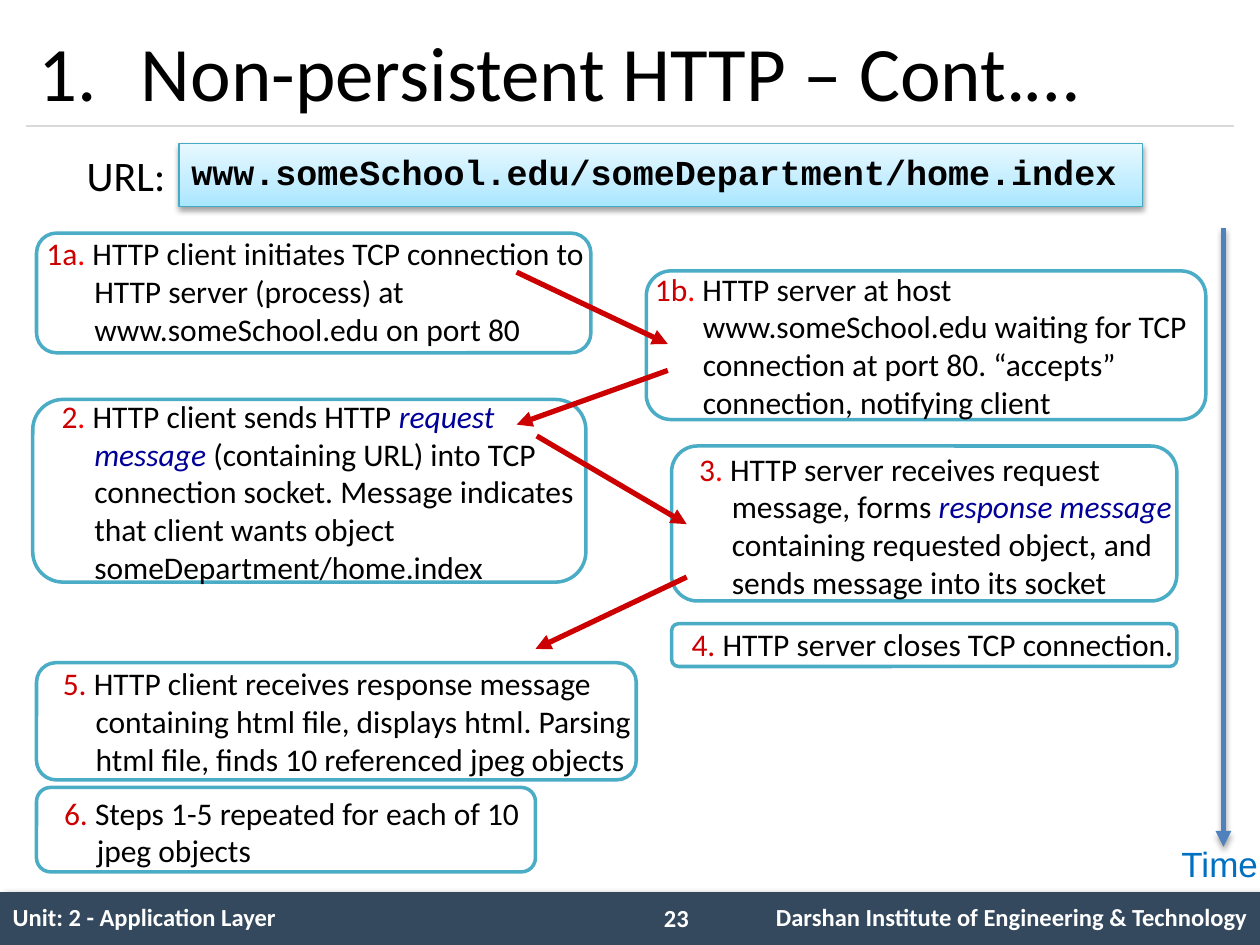
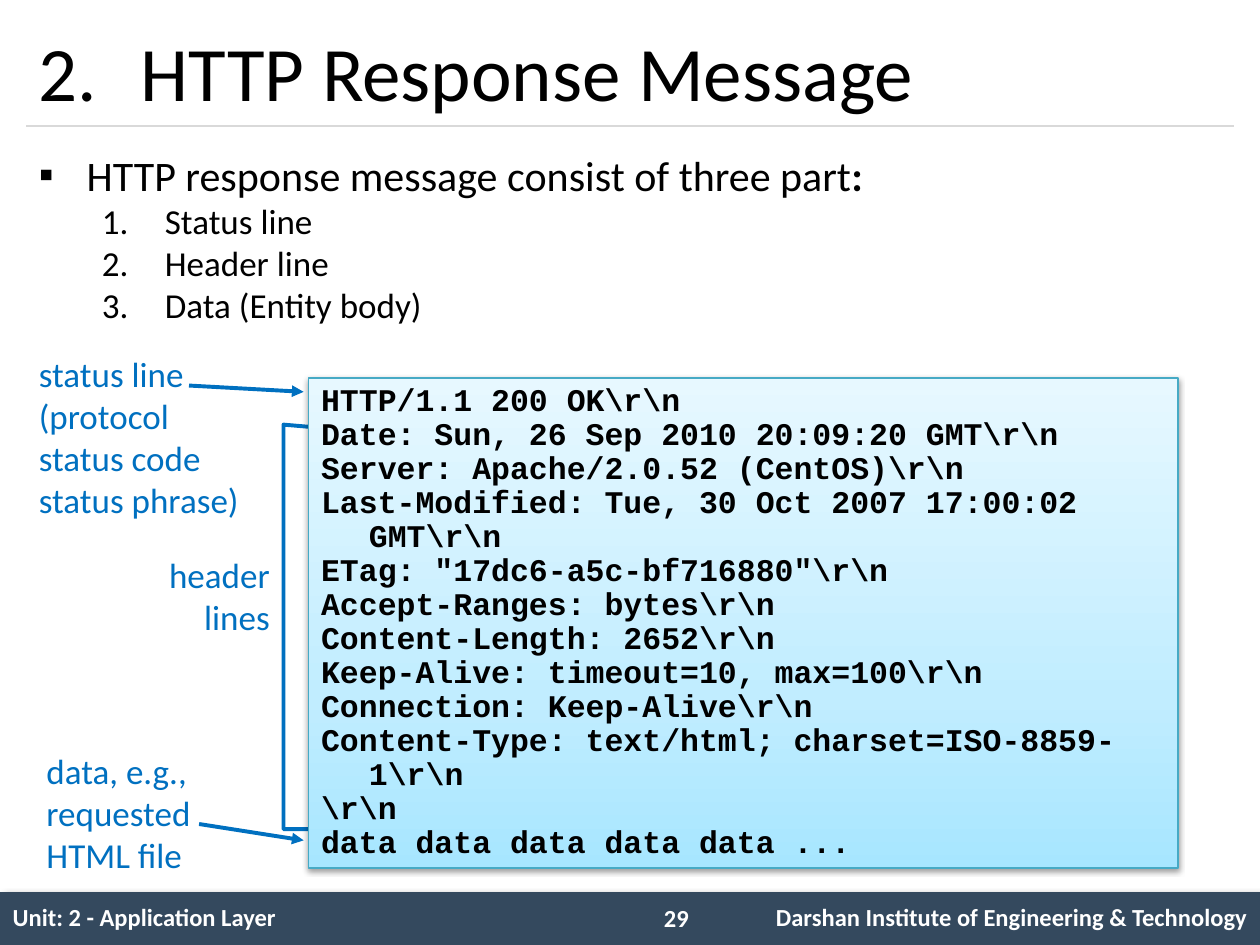
"""Build two lecture slides about HTTP connections and response messages."""
from copy import deepcopy

from lxml.etree import SubElement
from pptx import Presentation
from pptx.dml.color import RGBColor
from pptx.enum.shapes import MSO_CONNECTOR, MSO_SHAPE
from pptx.enum.text import MSO_ANCHOR, PP_ALIGN
from pptx.oxml.ns import qn
from pptx.util import Emu, Inches, Pt

COLORS = {
    "band": "34495E", "rule": "D9D9D9", "white": "FFFFFF", "black": "000000",
    "card": "4BACC6", "step": "CC0000", "dot": "FF0000", "term": "000099",
    "note": "0070C0", "time": "4F81BD", "code_line": "46AAC5",
}
CODE_GRADIENT = [(0, "A7E6FF"), (0.35, "C1EDFF"), (1, "E7F8FF")]
SLIDE_WIDTH, SLIDE_HEIGHT = Inches(10), Inches(7.5)
COLUMNS, ROWS = 100, 75
BODY, MONO = "Calibri", "Courier New"
NO_TABLE_STYLE = "{2D5ABB26-0587-4C30-8999-92F81FD0307C}"
BAND_SHADOW = (40, 4, 3, 45)
SOFT_SHADOW = (38, 3.1, 1.6, 90)
TIME_SHADOW = (35, 3.1, 1.8, 90)
HANG = 0.38
FOOTER = (0, 70.8, 100, 4.2)
CONTENT = (2.1, 10.8, 95.8, 58.3)

STEPS = [
    ((2.9, 18.5, 44, 9.5), (2.7, 18.1, 48.7, 11.1), HANG,
     [("1a", "step"), (".", "dot"),
      " HTTP client initiates TCP connection to HTTP server (process) at "
      "www.someSchool.edu on port 80"]),
    ((51.3, 21.5, 44.4, 11.8), (51, 20.9, 46, 14.1), HANG,
     [("1b", "step"), (".", "dot"),
      " HTTP server at host www.someSchool.edu waiting for TCP connection "
      "at port 80. “accepts” connection, notifying client"]),
    ((2.6, 31.7, 43.9, 14.5), (2.7, 31, 44, 15.9), 0.26,
     [("2", "step"), (".", "dot"), " HTTP client sends HTTP ",
      ("request message", "term"),
      " (containing URL) into TCP connection socket. Message indicates that "
      "client wants object someDepartment/home.index"]),
    ((53.3, 35.4, 40.1, 12.3), (53.3, 35.2, 41.7, 19.7), 0.26,
     [("3", "step"), (".", "dot"), " HTTP server receives request message, forms ",
      ("response message", "term"),
      " containing requested object, and sends message into its socket"]),
    ((53.3, 49.5, 40.1, 3.4), (52.7, 49.1, 47.3, 5.4), 0.26,
     [("4.", "step"), " HTTP server closes TCP connection."]),
    ((2.9, 52.6, 47.6, 9.3), (2.8, 52.2, 50.2, 9.8), 0.26,
     [("5.", "step"),
      " HTTP client receives response message containing html file, displays "
      "html. Parsing html file, finds 10 referenced jpeg objects"]),
    ((2.9, 62.5, 39.6, 6.7), (2.9, 62.5, 41.7, 7.3), 0.26,
     [("6.", "step"), " Steps 1-5 repeated for each of 10 jpeg objects"]),
]
MESSAGE_ARROWS = [
    ((41, 21.6), (53, 27.3)), ((53, 29.4), (41, 33.7)),
    ((42.6, 34.6), (54.5, 41.6)), ((54.5, 45.8), (42.5, 51.5)),
]
RESPONSE_LINES = [
    r"HTTP/1.1 200 OK\r\n",
    r"Date: Sun, 26 Sep 2010 20:09:20 GMT\r\n",
    r"Server: Apache/2.0.52 (CentOS)\r\n",
    r"Last-Modified: Tue, 30 Oct 2007 17:00:02 GMT\r\n",
    r'ETag: "17dc6-a5c-bf716880"\r\n',
    r"Accept-Ranges: bytes\r\n",
    r"Content-Length: 2652\r\n",
    r"Keep-Alive: timeout=10, max=100\r\n",
    r"Connection: Keep-Alive\r\n",
    r"Content-Type: text/html; charset=ISO-8859-1\r\n",
    r"\r\n",
    "data data data data data ...",
]


def rgb(name):
    """Return the named colour."""
    return RGBColor.from_string(COLORS[name])


def grid(*position):
    """Turn alternating columns and rows into slide lengths."""
    cells = (SLIDE_WIDTH / COLUMNS, SLIDE_HEIGHT / ROWS)
    return [Emu(round(value * cells[index % 2])) for index, value in enumerate(position)]


def set_bullet(paragraph, bullet, start):
    """Give a paragraph a bullet character or automatic numbers."""
    properties = paragraph._p.get_or_add_pPr()
    if bullet == "number":
        SubElement(properties, qn("a:buFont"), typeface="+mj-lt")
        SubElement(properties, qn("a:buAutoNum"), type="arabicPeriod", startAt=str(start))
    else:
        SubElement(properties, qn("a:buFont"), typeface="Arial")
        SubElement(properties, qn("a:buChar"), char=bullet)


def add_paragraph(frame, runs, size, color="black", font=BODY, bold=False,
                  align=PP_ALIGN.LEFT, margin=0, hang=0, spacing=None,
                  bullet=None, start=1):
    """Write one paragraph run by run, filling the empty first one if unused."""
    first = frame.paragraphs[0]
    paragraph = frame.add_paragraph() if first.runs else first
    paragraph.alignment = align
    if spacing:
        paragraph.line_spacing = spacing
    properties = paragraph._p.get_or_add_pPr()
    properties.set("marL", str(Inches(margin)))
    properties.set("indent", str(-Inches(hang)))
    if bullet:
        set_bullet(paragraph, bullet, start)
    for item in runs:
        text, run_color = (item, color) if isinstance(item, str) else item
        run = paragraph.add_run()
        run.text = text
        run.font.size = Pt(size)
        run.font.name = font
        run.font.bold = bold
        run.font.italic = run_color == "term"
        run.font.color.rgb = rgb(run_color)


def add_text(slide, position, paragraphs, size, wrap=True, anchor=MSO_ANCHOR.TOP, **style):
    """Add a text box whose paragraphs share a style."""
    frame = slide.shapes.add_textbox(*grid(*position)).text_frame
    frame.word_wrap = wrap
    frame.vertical_anchor = anchor
    for runs in paragraphs:
        add_paragraph(frame, runs, size, **style)
    return frame


def add_shadow(element, alpha, blur, distance, angle):
    """Fill the effect list of a shape with a black outer shadow."""
    effects = element.spPr.find(qn("a:effectLst"))
    shadow = SubElement(effects, qn("a:outerShdw"), blurRad=str(Pt(blur)),
                        dist=str(Pt(distance)), dir=str(angle * 60000),
                        algn="ctr", rotWithShape="0")
    color = SubElement(shadow, qn("a:srgbClr"), val=COLORS["black"])
    SubElement(color, qn("a:alpha"), val=str(alpha * 1000))


def add_box(slide, kind, position, fill=None, line=None, width=2, shadow=None):
    """Add a preset shape with a solid fill, an optional line and shadow."""
    shape = slide.shapes.add_shape(kind, *grid(*position))
    if fill:
        shape.fill.solid()
        shape.fill.fore_color.rgb = rgb(fill)
    if line:
        shape.line.color.rgb = rgb(line)
        shape.line.width = Pt(width)
    else:
        shape.line.fill.background()
    shape.shadow.inherit = False
    if shadow:
        add_shadow(shape._element, *shadow)
    return shape


def add_line(slide, begin, end, color, width, arrow=True, shadow=None):
    """Add a straight line, with an arrowhead at its end by default."""
    connector = slide.shapes.add_connector(MSO_CONNECTOR.STRAIGHT, *grid(*begin, *end))
    connector.line.color.rgb = rgb(color)
    connector.line.width = Pt(width)
    if arrow:
        SubElement(connector.line._get_or_add_ln(), qn("a:tailEnd"), type="triangle")
    SubElement(connector._element.spPr, qn("a:effectLst"))
    if shadow:
        add_shadow(connector._element, *shadow)


def add_code(slide, position, lines, size, spacing, anchor):
    """Add a gradient panel holding lines of code."""
    panel = add_box(slide, MSO_SHAPE.RECTANGLE, position, line="code_line",
                    width=0.75, shadow=SOFT_SHADOW)
    panel.fill.gradient()
    panel.fill.gradient_angle = 90
    first_stop = panel._element.spPr.xpath(".//a:gs")[0]
    first_stop.addnext(deepcopy(first_stop))
    for stop, (share, color) in zip(panel.fill.gradient_stops, CODE_GRADIENT):
        stop.position = share
        stop.color.rgb = RGBColor.from_string(color)
    frame = panel.text_frame
    frame.word_wrap = True
    frame.vertical_anchor = anchor
    for line in lines:
        add_paragraph(frame, [line], size, font=MONO, bold=True,
                      margin=HANG, hang=HANG, spacing=spacing)


def add_footer(slide, number):
    """Add the footer band with the unit, slide number and institute."""
    add_box(slide, MSO_SHAPE.RECTANGLE, FOOTER, fill="band", shadow=BAND_SHADOW)
    table = slide.shapes.add_table(1, 3, *grid(*FOOTER)).table
    table.first_row = table.horz_banding = False
    table._tbl.tblPr.find(qn("a:tableStyleId")).text = NO_TABLE_STYLE
    for column, share in zip(table.columns, (0.51, 0.07, 0.42)):
        column.width = Emu(round(SLIDE_WIDTH * share))
    texts = ("Unit: 2 - Application Layer", "",
             "Darshan Institute of Engineering & Technology")
    aligns = (PP_ALIGN.LEFT, PP_ALIGN.CENTER, PP_ALIGN.RIGHT)
    for cell, text, align in zip(table.rows[0].cells, texts, aligns):
        cell.fill.background()
        cell.vertical_anchor = MSO_ANCHOR.MIDDLE
        if text:
            add_paragraph(cell.text_frame, [text], 14, "white", bold=True, align=align)
    add_text(slide, (51.7, 71.2, 5.8, 3.4), [[str(number)]], 14, color="white", bold=True)


def add_lecture_slide(presentation, section, title, number):
    """Add a blank slide with the shared numbered title, rule and footer."""
    slide = presentation.slides.add_slide(presentation.slide_layouts[6])
    add_footer(slide, number)
    add_line(slide, (2.1, 10), (97.9, 10), "rule", 0.75, arrow=False)
    add_text(slide, (2.1, 1.2, 95.8, 8.8), [[title]], 44, anchor=MSO_ANCHOR.MIDDLE,
             margin=0.81, hang=0.81, bullet="number", start=section)
    return slide


def add_bracket(slide, points):
    """Add an open outline through the given grid points."""
    corners = [tuple(grid(*point)) for point in points]
    builder = slide.shapes.build_freeform(*corners[0])
    builder.add_line_segments(corners[1:], close=False)
    bracket = builder.convert_to_shape()
    bracket.fill.background()
    bracket.line.color.rgb = rgb("note")
    bracket.line.width = Pt(2.25)
    bracket.shadow.inherit = False


def build_connection_slide(presentation):
    """Show the steps of a non-persistent connection along a time arrow."""
    slide = add_lecture_slide(presentation, 1, "Non-persistent HTTP – Cont.…", 23)
    add_text(slide, CONTENT, [["URL:"]], 24, margin=HANG, spacing=1.14)
    add_code(slide, (14.2, 11.4, 76.5, 5), ["www.someSchool.edu/someDepartment/home.index"],
             20, 0.85, MSO_ANCHOR.MIDDLE)
    for outline, text_area, hang, runs in STEPS:
        add_box(slide, MSO_SHAPE.ROUNDED_RECTANGLE, outline, "white", "card")
        add_text(slide, text_area, [runs], 18, margin=HANG, hang=hang)
    for begin, end in MESSAGE_ARROWS:
        add_line(slide, begin, end, "step", 3)
    add_line(slide, (97.1, 18.1), (97.1, 67.2), "time", 3, shadow=TIME_SHADOW)
    add_text(slide, (92.7, 66.4, 8.2, 4.4), [["Time"]], 20, wrap=False,
             color="note", font="Arial", align=PP_ALIGN.CENTER)


def build_response_slide(presentation):
    """Show the three parts of a response message beside an example."""
    slide = add_lecture_slide(presentation, 2, "HTTP Response Message", 29)
    frame = add_text(slide, CONTENT, [["HTTP response message consist of three part"]], 24,
                     align=PP_ALIGN.JUSTIFY, margin=HANG, hang=HANG, spacing=1.14, bullet="▪")
    colon = frame.paragraphs[0].add_run()
    colon.text = ":"
    colon.font.size, colon.font.name, colon.font.bold = Pt(24), BODY, True
    colon.font.color.rgb = rgb("black")
    for part in ("Status line", "Header line", "Data (Entity body)"):
        add_paragraph(frame, [part], 20, align=PP_ALIGN.JUSTIFY,
                      margin=1, hang=0.5, bullet="number")
    notes = [
        ((2.1, 27.5, 20, 14.5), PP_ALIGN.LEFT,
         ["status line", "(protocol", "status code", "status phrase)"]),
        ((12.3, 43.4, 10.1, 7.7), PP_ALIGN.RIGHT, ["header", "lines"]),
        ((2.7, 59, 13.9, 11.1), PP_ALIGN.LEFT, ["data, e.g.,", "requested", "HTML file"]),
    ]
    for position, align, lines in notes:
        add_text(slide, position, [[line] for line in lines], 20, color="note", align=align)
    add_line(slide, (15, 30.6), (24.1, 31.1), "note", 2.25)
    add_line(slide, (15.8, 65.4), (24.1, 66.7), "note", 2.25)
    add_bracket(slide, [(24.8, 33.9), (22.5, 33.7), (22.5, 65.8), (25.3, 65.8)])
    add_code(slide, (24.5, 30, 69, 38.9), RESPONSE_LINES, 18, 0.9, MSO_ANCHOR.TOP)


def main():
    """Build and save the presentation."""
    presentation = Presentation()
    presentation.slide_width, presentation.slide_height = SLIDE_WIDTH, SLIDE_HEIGHT
    build_connection_slide(presentation)
    build_response_slide(presentation)
    presentation.save("out.pptx")


if __name__ == "__main__":
    main()
